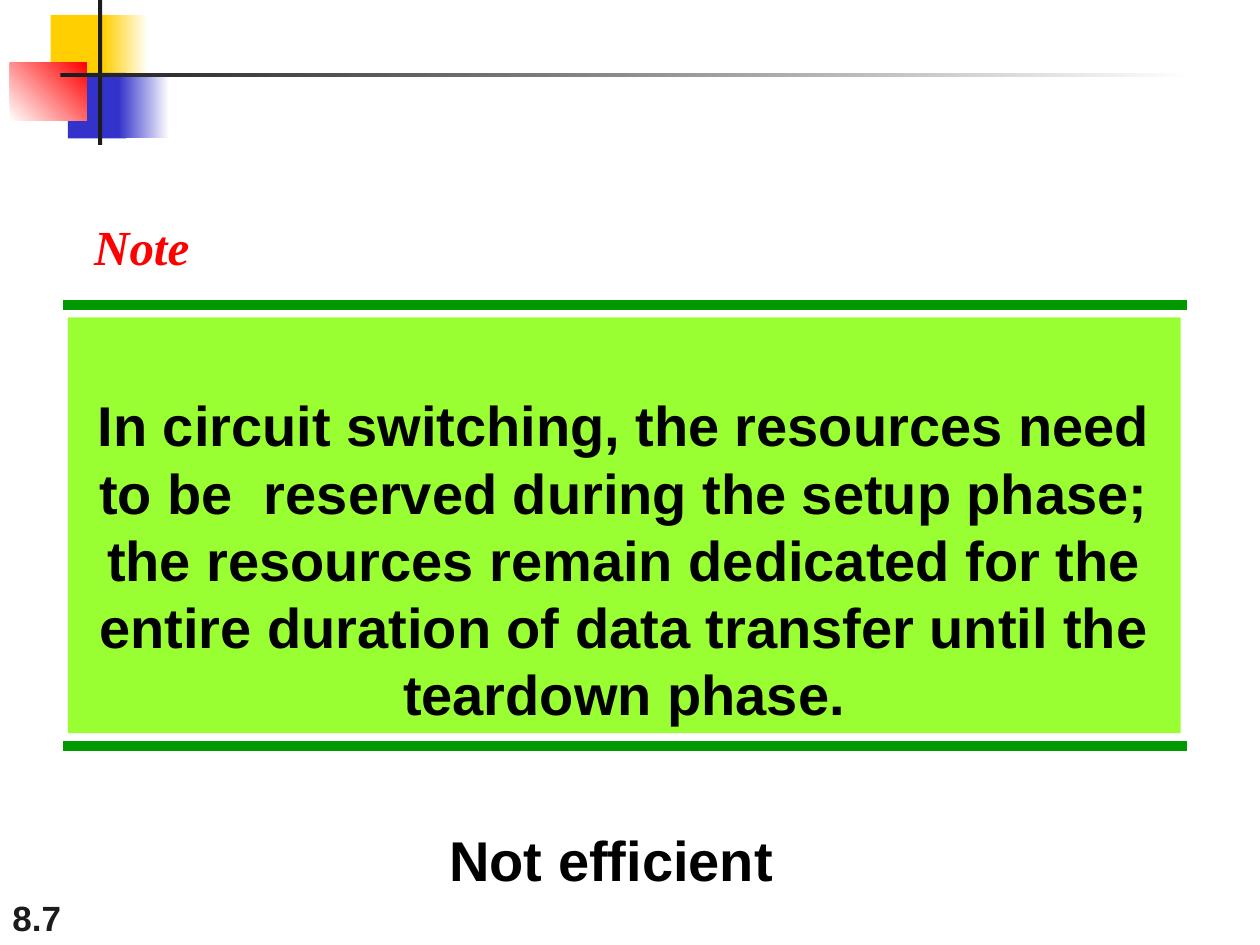
import pptx
import pptx.util
import pptx.dml.color
import pptx.enum.shapes
import pptx.enum.text
import pptx.oxml.ns
from lxml import etree

Cm, Pt = pptx.util.Cm, pptx.util.Pt
RGBColor = pptx.dml.color.RGBColor
ANCHOR = pptx.enum.text.MSO_ANCHOR
ALIGN = pptx.enum.text.PP_ALIGN

YELLOW = RGBColor(0xFF, 0xCF, 0x01)
BLUE = RGBColor(0x33, 0x33, 0xCC)
RED = RGBColor(0xFF, 0x00, 0x00)
INK = RGBColor(0x1C, 0x1C, 0x1C)
GREEN = RGBColor(0x00, 0x99, 0x00)
LIME = RGBColor(0x99, 0xFF, 0x33)
BLACK = RGBColor(0x00, 0x00, 0x00)
WHITE = RGBColor(0xFF, 0xFF, 0xFF)

# (left, top, width, height) in cm, fill colours, gradient angle
ORNAMENT = [
    ((1.02, 0.3, 1.22, 1.32), [YELLOW], 0),
    ((2.08, 0.3, 0.91, 1.32), [YELLOW, WHITE], 0),
    ((1.37, 1.47, 1.17, 1.32), [BLUE], 0),
    ((2.39, 1.47, 1.02, 1.32), [BLUE, WHITE], 0),
    ((0.2, 1.27, 1.55, 1.17), [WHITE, RED], 45),
    ((1.98, 0, 0.08, 2.92), [INK], 0),
    ((1.22, 1.47, 22.86, 0.08), [INK, WHITE], 0),
]
RULE_LEFT, RULE_RIGHT = 1.27, 23.93
RULE_TOPS = (6.15, 15.04)
STATEMENT_BOX = (1.37, 6.4, 22.43, 8.38)
STATEMENT = (
    "In circuit switching, the resources need to be  reserved during the setup phase;\v"
    "the resources remain dedicated for the entire duration of data transfer "
    "until the teardown phase."
)
# text, box in cm, font, size, colour, italic, wrap, anchor
LABELS = [
    ("8.7", (0, 17.78, 5.28, 1.27), "Arial", 20, INK, False, True, ANCHOR.BOTTOM),
    ("Note", (1.65, 4.24, 2.44, 1.45), "Times New Roman", 28, RED, True, False, ANCHOR.TOP),
    ("Not efficient", (8.81, 16.51, 15.93, 1.63), "Arial", 32, BLACK, False, True, ANCHOR.TOP),
]


def add_block(slide, box, colours, angle=0):
    """Add a borderless rectangle, solid for one colour, gradient for two."""
    block = slide.shapes.add_shape(
        pptx.enum.shapes.MSO_SHAPE.RECTANGLE, *map(Cm, box))
    block.shadow.inherit = False
    block.line.fill.background()
    if len(colours) == 1:
        block.fill.solid()
        block.fill.fore_color.rgb = colours[0]
    else:
        block.fill.gradient()
        block.fill.gradient_angle = angle
        for stop, colour in zip(block.fill.gradient_stops, colours):
            stop.color.rgb = colour
    return block


def write(shape, text, font_name, size, colour, italic=False, wrap=True,
          anchor=ANCHOR.TOP, align=ALIGN.LEFT):
    frame = shape.text_frame
    frame.word_wrap = wrap
    frame.vertical_anchor = anchor
    paragraph = frame.paragraphs[0]
    paragraph.text = text
    paragraph.alignment = align
    for run in paragraph.runs:
        run.font.name = font_name
        run.font.size = Pt(size)
        run.font.bold = True
        run.font.italic = italic
        run.font.color.rgb = colour


def add_rule(slide, top):
    rule = slide.shapes.add_connector(
        pptx.enum.shapes.MSO_CONNECTOR.STRAIGHT,
        Cm(RULE_LEFT), Cm(top), Cm(RULE_RIGHT), Cm(top))
    rule.line.color.rgb = GREEN
    rule.line.width = Pt(6)
    etree.SubElement(rule._element.spPr, pptx.oxml.ns.qn("a:effectLst"))


def main():
    deck = pptx.Presentation()
    deck.slide_width, deck.slide_height = Cm(25.4), Cm(19.05)
    slide = deck.slides.add_slide(deck.slide_layouts[6])

    for box, colours, angle in ORNAMENT:
        add_block(slide, box, colours, angle)
    for top in RULE_TOPS:
        add_rule(slide, top)
    statement = add_block(slide, STATEMENT_BOX, [LIME])
    write(statement, STATEMENT, "Arial", 32, BLACK,
          anchor=ANCHOR.BOTTOM, align=ALIGN.CENTER)
    for text, box, *style in LABELS:
        write(slide.shapes.add_textbox(*map(Cm, box)), text, *style)

    deck.save("out.pptx")


if __name__ == "__main__":
    main()
